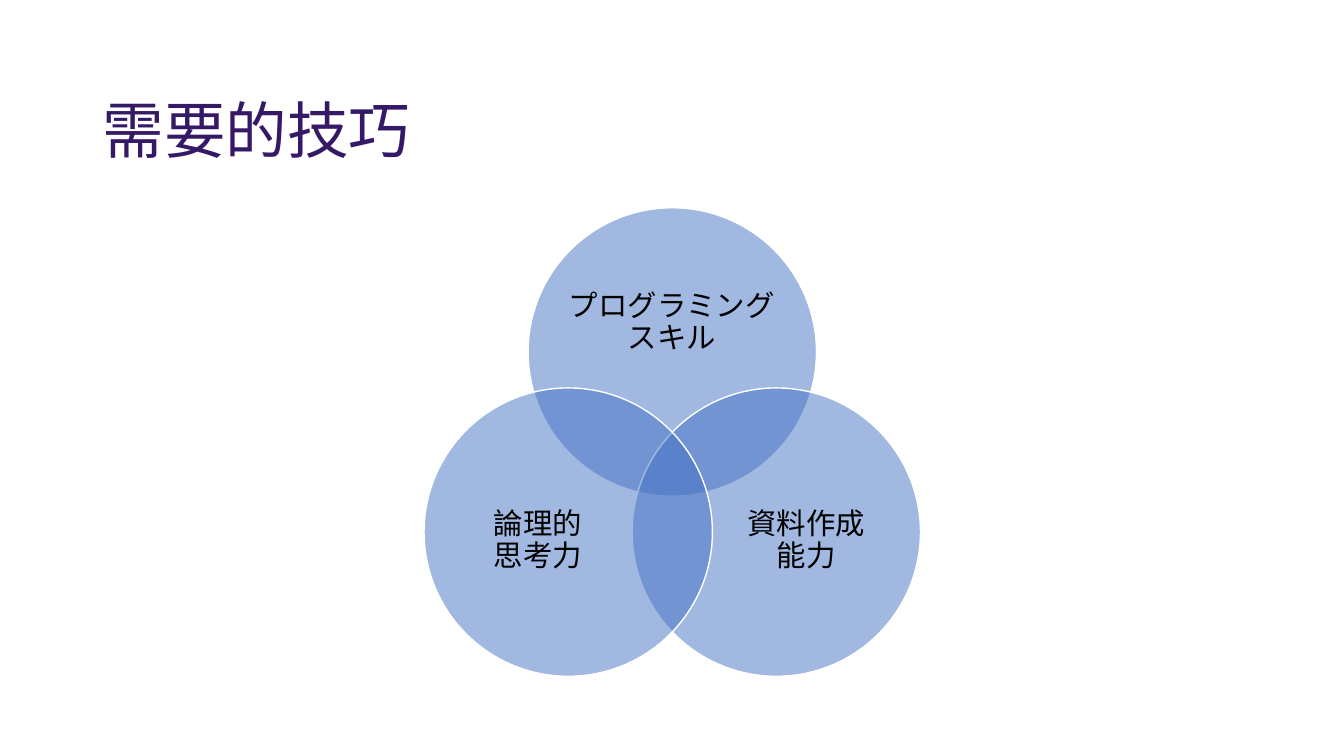
from dataclasses import dataclass
from math import cos, radians, sin

from lxml.etree import SubElement
from pptx import Presentation
from pptx.dml.color import RGBColor as Rgb
from pptx.enum.shapes import MSO_SHAPE as Kind
from pptx.enum.text import MSO_ANCHOR as Anchor, PP_ALIGN as Align
from pptx.oxml.ns import qn
from pptx.shapes.autoshape import Shape
from pptx.slide import Slide
from pptx.text.text import TextFrame
from pptx.util import Pt

FONT = "Noto Sans CJK JP"
HUES = {"title": "351967", "disc": "4472C4", "edge": "FFFFFF", "text": "000000"}

# Venn layout: three discs spaced evenly around one centre
MID_X, MID_Y = 480.2, 337.2
ORBIT, SIZE = 85.8, 206


@dataclass(frozen=True)
class Skill:
    text: str
    angle: float
    left: float
    top: float
    width: float
    height: float


SKILLS = [
    Skill("プログラミング\nスキル", -90, 404.6, 184.4, 150.6, 92.2),
    Skill("資料作成\n能力", 30, 514.2, 329.8, 123.4, 113),
    Skill("論理的\n思考力", 150, 322.6, 329.8, 123.4, 113),
]


def write(frame: TextFrame, text: str, *, size: float, hue: str,
          align: Align = Align.LEFT) -> None:
    frame.word_wrap = True
    frame.vertical_anchor = Anchor.MIDDLE
    para = frame.paragraphs[0]
    para.text = text
    para.alignment = align
    para.line_spacing = 0.9
    for run in para.runs:
        font = run.font
        font.size = Pt(size)
        font.name = FONT
        font.color.rgb = Rgb.from_string(HUES[hue])
        # East Asian typeface
        SubElement(font._element, qn("a:ea"), typeface=FONT)


def add_disc(slide: Slide, skill: Skill) -> Shape:
    turn = radians(skill.angle)
    left = MID_X + ORBIT * cos(turn) - SIZE / 2
    top = MID_Y + ORBIT * sin(turn) - SIZE / 2
    disc = slide.shapes.add_shape(Kind.OVAL, Pt(left), Pt(top), Pt(SIZE), Pt(SIZE))
    disc.shadow.inherit = False
    disc.fill.solid()
    disc.fill.fore_color.rgb = Rgb.from_string(HUES["disc"])
    # Half transparent, so that overlaps darken
    tint = disc._element.spPr.find(qn("a:solidFill"))[0]
    SubElement(tint, qn("a:alpha"), val="50000")
    disc.line.color.rgb = Rgb.from_string(HUES["edge"])
    disc.line.width = Pt(1)
    return disc


def add_label(slide: Slide, skill: Skill) -> None:
    box = slide.shapes.add_textbox(
        Pt(skill.left), Pt(skill.top), Pt(skill.width), Pt(skill.height))
    frame = box.text_frame
    frame.margin_left = frame.margin_right = Pt(0)
    frame.margin_top = frame.margin_bottom = Pt(0)
    write(frame, skill.text, size=21, hue="text", align=Align.CENTER)


def main() -> None:
    deck = Presentation()
    deck.slide_width, deck.slide_height = Pt(960), Pt(540)
    slide = deck.slides.add_slide(deck.slide_layouts[5])

    # Title
    title = slide.shapes.title
    title.left, title.top = Pt(66), Pt(28.8)
    title.width, title.height = Pt(828), Pt(133.2)
    write(title.text_frame, "需要的技巧", size=44, hue="title")

    # Venn diagram
    for skill in SKILLS:
        add_disc(slide, skill)
        add_label(slide, skill)

    deck.save("out.pptx")


if __name__ == "__main__":
    main()
